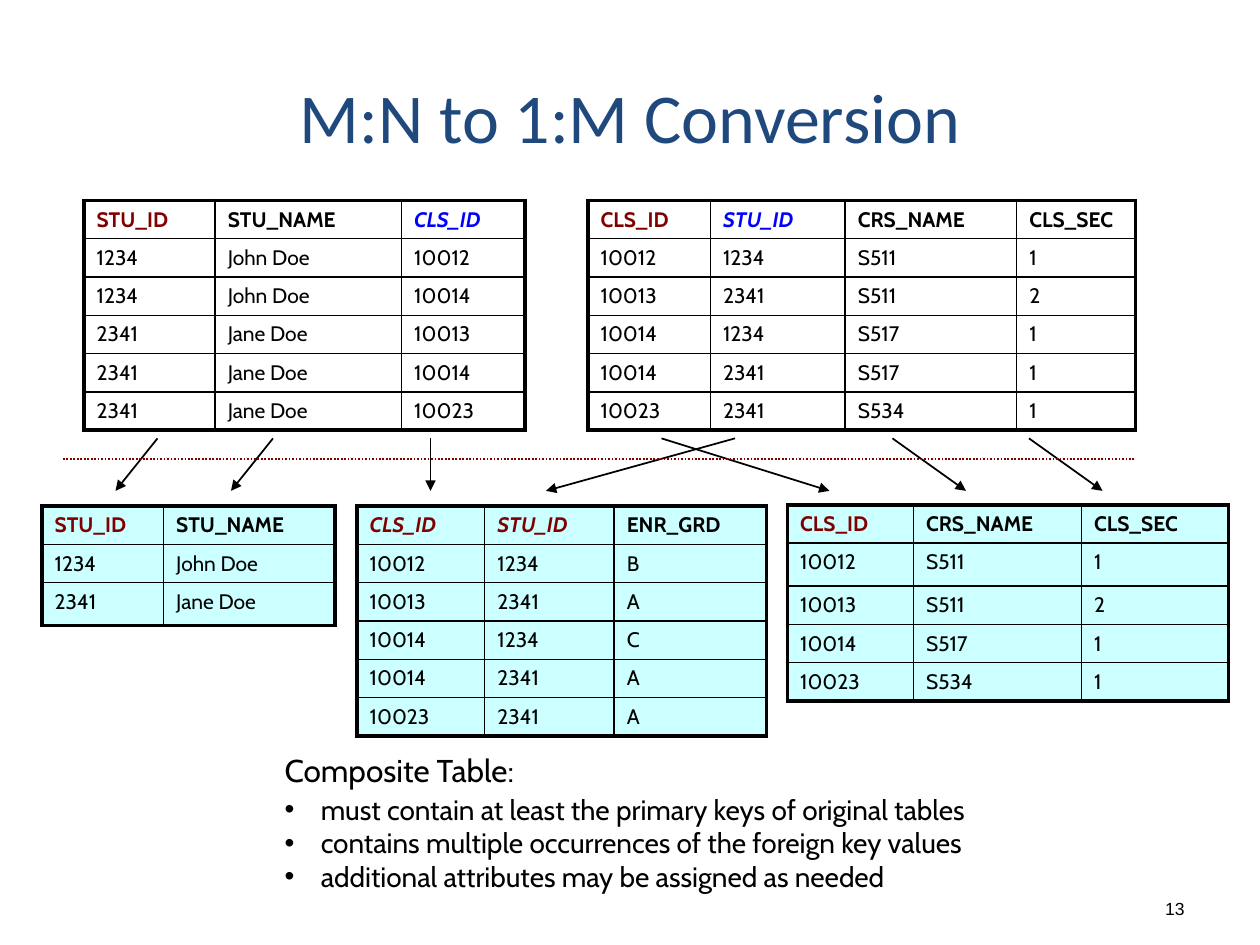
from lxml.etree import SubElement as Sub
from pptx import Presentation
from pptx.dml.color import RGBColor as RGB
from pptx.enum.dml import MSO_LINE as Dash
from pptx.enum.shapes import MSO_CONNECTOR as Conn
from pptx.enum.text import MSO_ANCHOR as Anchor, PP_ALIGN as Align
from pptx.oxml.ns import qn
from pptx.util import Pt

BLACK = RGB(0, 0, 0)
MAROON = RGB(0x80, 0, 0)
BLUE = RGB(0, 0, 0xFF)
NAVY = RGB(0x1F, 0x49, 0x7D)
CYAN = RGB(0xCC, 0xFF, 0xFF)

PLAIN, KEY, LINK, BOTH = (BLACK, False), (MAROON, False), (BLUE, True), (MAROON, True)
ROW, THIN, THICK = 21.9, 1, 2.25

TABLES = [
    dict(at=(48, 114.5), cols=(75, 106.5, 70.5), tall={}, fill=None,
         head=[("STU_ID", KEY), ("STU_NAME", PLAIN), ("CLS_ID", LINK)],
         body=[("1234", "John Doe", "10012"),
               ("1234", "John Doe", "10014"),
               ("2341", "Jane Doe", "10013"),
               ("2341", "Jane Doe", "10014"),
               ("2341", "Jane Doe", "10023")]),
    dict(at=(336, 114.5), cols=(70, 77, 98, 68), tall={}, fill=None,
         head=[("CLS_ID", KEY), ("STU_ID", LINK), ("CRS_NAME", PLAIN), ("CLS_SEC", PLAIN)],
         body=[("10012", "1234", "S511", "1"),
               ("10013", "2341", "S511", "2"),
               ("10014", "1234", "S517", "1"),
               ("10014", "2341", "S517", "1"),
               ("10023", "2341", "S534", "1")]),
    dict(at=(24, 289.2), cols=(69.5, 98), tall={2: 24.5}, fill=CYAN,
         head=[("STU_ID", KEY), ("STU_NAME", PLAIN)],
         body=[("1234", "John Doe"),
               ("2341", "Jane Doe")]),
    dict(at=(450, 288.5), cols=(72, 96, 84), tall={1: 24.5}, fill=CYAN,
         head=[("CLS_ID", KEY), ("CRS_NAME", PLAIN), ("CLS_SEC", PLAIN)],
         body=[("10012", "S511", "1"),
               ("10013", "S511", "2"),
               ("10014", "S517", "1"),
               ("10023", "S534", "1")]),
    dict(at=(204, 289.2), cols=(73, 74, 87), tall={}, fill=CYAN,
         head=[("CLS_ID", BOTH), ("STU_ID", BOTH), ("ENR_GRD", PLAIN)],
         body=[("10012", "1234", "B"),
               ("10013", "2341", "A"),
               ("10014", "1234", "C"),
               ("10014", "2341", "A"),
               ("10023", "2341", "A")]),
]

ARROWS = [(90, 66), (156, 132), (588, 630), (510, 552), (378, 474), (246, 246), (420, 312)]
TOP, TIP, SPLIT = 250.5, 280.5, 262.5

LEAD = "Composite Table:"
POINTS = ["must contain at least the primary keys of original tables",
          "contains multiple occurrences of the foreign key values",
          "additional attributes may be assigned as needed"]


def write(para, text, size, font="Cabin", color=BLACK, bold=False, slant=False):
    run = para.add_run()
    run.text = text
    face = run.font
    face.name, face.size, face.bold, face.italic = font, Pt(size), bold, slant
    face.color.rgb = color


def edge(cell, side, width):
    line = Sub(cell._tc.get_or_add_tcPr(), qn("a:ln" + side), w=str(Pt(width)))
    fill = Sub(line, qn("a:solidFill"))
    Sub(fill, qn("a:srgbClr"), val=str(BLACK))


def draw_table(slide, at, cols, tall, fill, head, body):
    rows = [head] + [[(text, PLAIN) for text in row] for row in body]
    highs = [tall.get(r, ROW) for r in range(len(rows))]
    size = sum(cols), sum(highs)
    table = slide.shapes.add_table(len(rows), len(cols), *map(Pt, at + size)).table
    table.first_row = table.horz_banding = False
    for col, wide in zip(table.columns, cols):
        col.width = Pt(wide)
    for r, row in enumerate(rows):
        table.rows[r].height = Pt(highs[r])
        for c, (text, (color, slant)) in enumerate(row):
            cell = table.cell(r, c)
            outer = {"L": c == 0, "R": c == len(cols) - 1,
                     "T": r == 0, "B": r == len(rows) - 1}
            for side, out in outer.items():
                edge(cell, side, THICK if out else THIN)
            if fill is None:
                cell.fill.background()
            else:
                cell.fill.solid()
                cell.fill.fore_color.rgb = fill
            para = cell.text_frame.paragraphs[0]
            para.space_before = Pt(2.4)
            write(para, text, 12, color=color, bold=r == 0, slant=slant)


def draw_line(slide, start, end, color):
    link = slide.shapes.add_connector(Conn.STRAIGHT, *map(Pt, start + end))
    link.line.color.rgb = color
    link.line.width = Pt(1)
    Sub(link._element.spPr, qn("a:effectLst"))
    return link.line


def add_box(slide, *area):
    frame = slide.shapes.add_textbox(*map(Pt, area)).text_frame
    frame.word_wrap = True
    return frame


def add_point(frame, text, before):
    para = frame.add_paragraph()
    para.space_before = Pt(before)
    props = para._p.get_or_add_pPr()
    props.set("marL", str(Pt(20.7)))
    props.set("indent", str(-Pt(20.7)))
    Sub(props, qn("a:buFont"), typeface="Arial")
    Sub(props, qn("a:buChar"), char="•")
    write(para, text, 16)


def main():
    deck = Presentation()
    deck.slide_width, deck.slide_height = Pt(720), Pt(540)
    slide = deck.slides.add_slide(deck.slide_layouts[5])

    title = slide.shapes.title
    title.left, title.top, title.width, title.height = map(Pt, (36, 30, 648, 72))
    title.text_frame.vertical_anchor = Anchor.MIDDLE
    para = title.text_frame.paragraphs[0]
    para.alignment = Align.CENTER
    write(para, "M:N to 1:M Conversion", 40, "Calibri", NAVY)

    for table in TABLES:
        draw_table(slide, **table)

    for start, end in ARROWS:
        line = draw_line(slide, (start, TOP), (end, TIP), BLACK)
        Sub(line._get_or_add_ln(), qn("a:tailEnd"), type="triangle")
    draw_line(slide, (36, SPLIT), (648, SPLIT), MAROON).dash_style = Dash.ROUND_DOT

    notes = add_box(slide, 155.5, 425.5, 458.5, 89.5)
    write(notes.paragraphs[0], LEAD, 18)
    for i, text in enumerate(POINTS):
        add_point(notes, text, 0 if i else 2)

    page = add_box(slide, 653.5, 509.5, 30.5, 19.5)
    page.vertical_anchor = Anchor.BOTTOM
    page.paragraphs[0].alignment = Align.RIGHT
    write(page.paragraphs[0], "13", 10, "Arial")

    deck.save("out.pptx")


if __name__ == "__main__":
    main()
